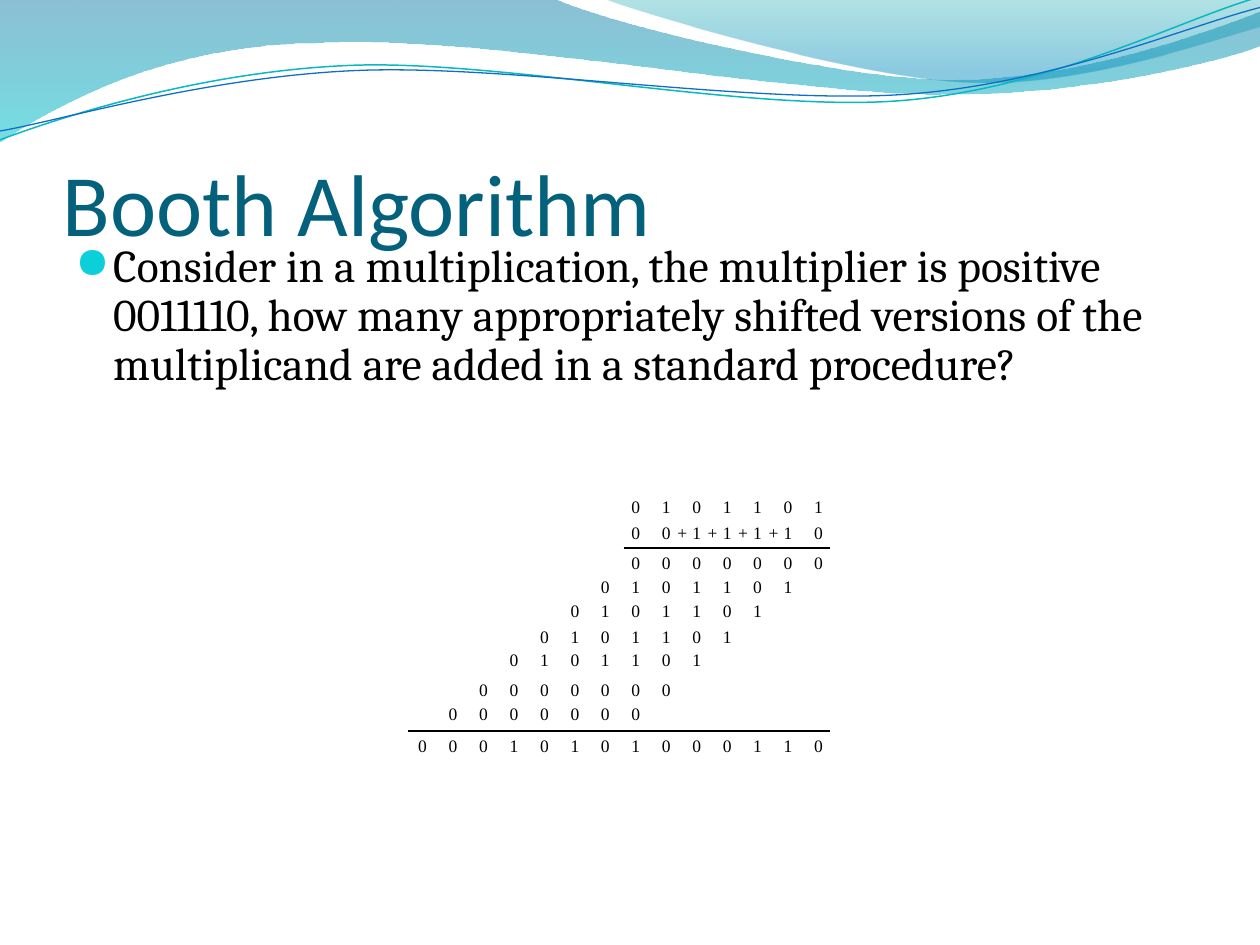
from math import cos, radians, sin

from lxml import etree
from pptx import Presentation
from pptx.dml.color import RGBColor
from pptx.enum.shapes import MSO_CONNECTOR
from pptx.enum.text import MSO_ANCHOR, MSO_AUTO_SIZE
from pptx.oxml.ns import qn
from pptx.util import Pt

STRAIGHT = MSO_CONNECTOR.STRAIGHT
BOTTOM = MSO_ANCHOR.BOTTOM
FIT_SHAPE = MSO_AUTO_SIZE.SHAPE_TO_FIT_TEXT

COLORS = {
    "title": "04617B", "text": "000000", "bullet": "0BD0D9",
    "teal": "0AB8BF", "blue": "0F6FC6",
    "left_top": "0074A1", "left_bottom": "00C6CF",
    "right_top": "00A1A9", "right_bottom": "008BBF",
}
RGB = {name: RGBColor.from_string(value) for name, value in COLORS.items()}

prs = Presentation()
prs.slide_width, prs.slide_height = Pt(720), Pt(540)
slide = prs.slides.add_slide(prs.slide_layouts[6])


def add_outline(start, segments, close):
    points = [(Pt(x), Pt(y)) for segment in segments for x, y in segment]
    builder = slide.shapes.build_freeform(Pt(start[0]), Pt(start[1]), scale=1.0)
    builder.add_line_segments(points, close=close)
    sp = builder.convert_to_shape()
    sp.shadow.inherit = False
    steps = iter(list(sp.element.iter(qn("a:lnTo"))))
    for segment in segments:
        step = next(steps)
        if len(segment) == 3:
            step.tag = qn("a:cubicBezTo")
            for _ in range(2):
                extra = next(steps)
                step.append(extra[0])
                extra.getparent().remove(extra)
    return sp


def add_text(text, left, top, width, height, font, size, color, insets, wrap=True):
    sp = slide.shapes.add_textbox(Pt(left), Pt(top), Pt(width), Pt(height))
    tf = sp.text_frame
    tf.word_wrap = wrap
    tf.margin_left, tf.margin_top, tf.margin_right, tf.margin_bottom = map(Pt, insets)
    p = tf.paragraphs[0]
    p.text = text
    p.font.name, p.font.size = font, Pt(size)
    p.font.color.rgb = RGB[color]
    return tf


bands = [
    ((0, -0.7), [
        [(316.8, -0.7)],
        [(342.7, 12.2), (478.1, 45.4), (545.8, 45.4)],
        [(614.2, 45.4), (689.8, 18.7), (720, 6.5)],
        [(720.7, 25.9)],
        [(707.8, 31.7), (626.4, 54.7), (537.1, 54)],
        [(447.8, 54), (275, 20.2), (185, 24.5)],
        [(92.9, 25.2), (33.1, 59.8), (-0.7, 81.4)],
    ], [(0, "left_top", 45), (1, "left_bottom", 55)]),
    ((344.9, -0.7), [
        [(366.5, 7.9), (491, 44.6), (553.7, 46.8)],
        [(616.3, 49.7), (691.9, 23), (720, 15.1)],
        [(720, 0)],
    ], [(0, "right_top", 30), (0.8, "right_bottom", 45)]),
]
for start, segments, stops in bands:
    sp = add_outline(start, segments, True)
    sp.line.fill.background()
    sp.fill.gradient()
    sp.fill.gradient_angle = 270
    for stop, (position, color, opacity) in zip(sp.fill.gradient_stops, stops):
        stop.position = position
        stop.color.rgb = RGB[color]
    for gs, (_, _, opacity) in zip(sp.element.iter(qn("a:gs")), stops):
        etree.SubElement(gs[0], qn("a:alpha"), val=str(opacity * 1000))

waves = [
    ("teal", 0.85, (359.3, 41.4), [
        (0, 79.9), (34.6, 67), (113.8, 41), (199.4, 37.4), (284.4, 33.8),
        (427, 64.1), (513.4, 57.6), (599.8, 51.1), (675.4, 10.8), (718.6, -1.4)]),
    ("blue", 0.75, (359.6, 42.5), [
        (0, 74.9), (33.8, 69.1), (118.1, 43.9), (203.8, 40.3), (290.2, 36.7),
        (429.8, 59.8), (516.2, 54), (601.9, 48.2), (677.5, 15.1), (720, 4.3)]),
]
TILT = 2.7
c, s = cos(radians(TILT)), sin(radians(TILT))
for color, weight, (cx, cy), points in waves:
    level = [(cx + (x - cx) * c - (y - cy) * s, cy + (x - cx) * s + (y - cy) * c)
             for x, y in points]
    sp = add_outline(level[0], [level[i:i + 3] for i in range(1, 10, 3)], False)
    sp.rotation = 360 - TILT
    sp.fill.background()
    sp.line.color.rgb = RGB[color]
    sp.line.width = Pt(weight)

tf = add_text("Booth Algorithm", 36, 55.4, 648, 90, "Calibri", 50, "title", (0, 3.6, 0, 0))
tf.vertical_anchor = BOTTOM

tf = add_text(
    "Consider in a multiplication, the multiplier is positive 0011110, how many "
    "appropriately shifted versions of the multiplicand are added in a standard procedure?",
    36, 135.4, 648, 140.4, "Cambria", 26, "text", (7.2, 3.6, 7.2, 3.6))
p = tf.paragraphs[0]
p.line_spacing = 0.9
p.space_before = Pt(5.2)
pPr = p._p.get_or_add_pPr()
pPr.set("marL", str(Pt(21.6)))
pPr.set("indent", str(-Pt(21.6)))
bullet = [
    etree.Element(qn("a:buClr")),
    etree.Element(qn("a:buSzPct"), val="95000"),
    etree.Element(qn("a:buChar"), char="●"),
]
etree.SubElement(bullet[0], qn("a:srgbClr"), val=COLORS["bullet"])
at = pPr.index(pPr.find(qn("a:spcBef"))) + 1
pPr[at:at] = bullet

COLUMN_LEFT, COLUMN_STEP, LAST_COLUMN = 239, 17.4, 13
digit_rows = [
    (283.7, "0101101", 0),
    (298.1, "0011110", 0),
    (315.4, "0000000", 0),
    (329, "0101101", 1),
    (342.7, "0101101", 2),
    (357.8, "0101101", 3),
    (370.8, "0101101", 4),
    (388.1, "0000000", 5),
    (401.8, "0000000", 6),
    (419.8, "00010101000110", 0),
]
marks = []
for top, digits, shift in digit_rows:
    first = LAST_COLUMN - shift - len(digits) + 1
    marks += [(digit, COLUMN_LEFT + (first + i) * COLUMN_STEP, top)
              for i, digit in enumerate(digits)]
marks += [("+", COLUMN_LEFT + column * COLUMN_STEP - 8.6, 298.1) for column in range(9, 13)]
for mark, left, top in marks:
    tf = add_text(mark, left, top, 5.8, 12.2, "Times New Roman", 10, "text", (0,) * 4, False)
    tf.auto_size = FIT_SHAPE

for left, y in [(356.4, 313.2), (233.3, 417.6)]:
    rule = slide.shapes.add_connector(STRAIGHT, Pt(left), Pt(y), Pt(474.5), Pt(y))
    rule.line.color.rgb = RGB["text"]
    rule.line.width = Pt(1.13)
    etree.SubElement(rule.element.spPr, qn("a:effectLst"))

prs.save("out.pptx")
